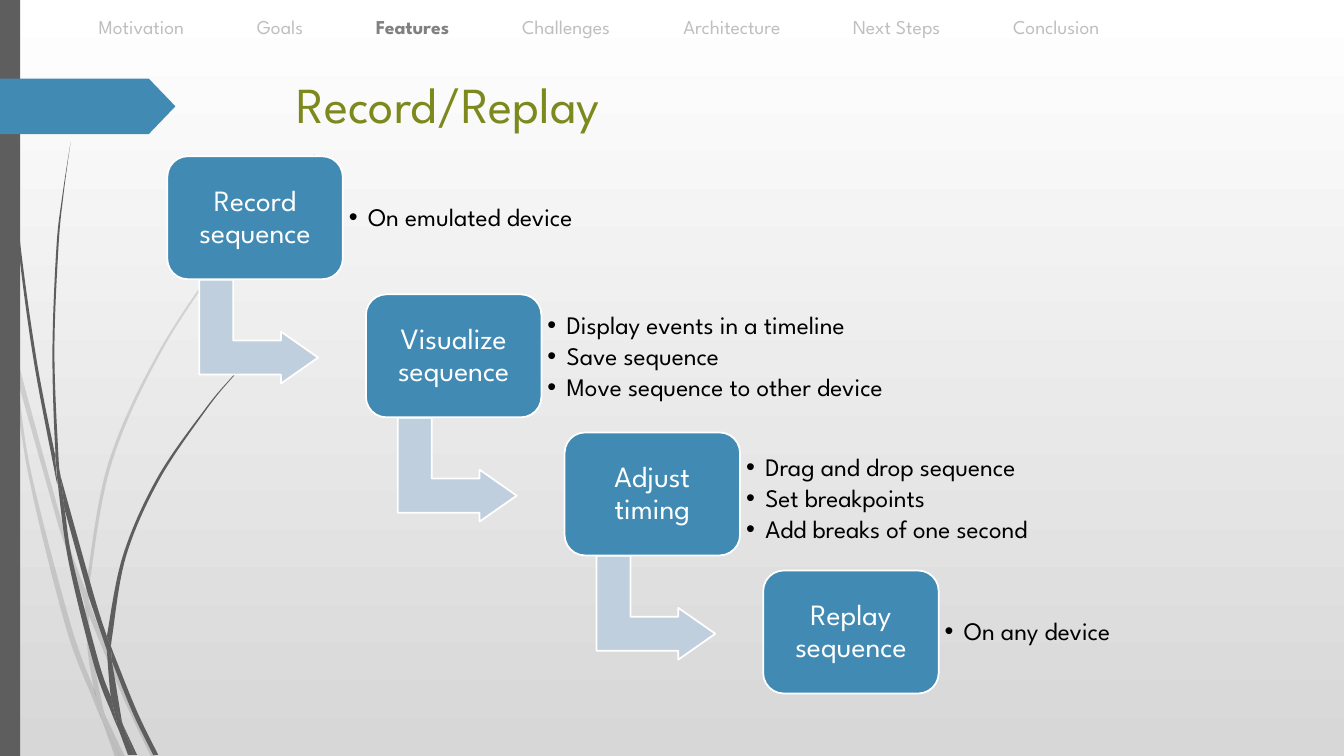
from dataclasses import dataclass

from lxml import etree
from pptx import Presentation
from pptx.dml.color import RGBColor
from pptx.enum import shapes, text
from pptx.oxml.ns import qn
from pptx.util import Inches, Pt

TITLE = "Record/Replay"
SECTIONS = [  # label, distance from the first label
    ("Motivation", 0), ("Goals", 1.57), ("Features", 2.75), ("Challenges", 4.2),
    ("Architecture", 5.8), ("Next Steps", 7.48), ("Conclusion", 9.07),
]
CURRENT_SECTION = "Features"
STEPS = [  # name, details, width of the details and their drop below the step's top
    ("Record sequence", ["On emulated device"], 3.02, 0.12),
    ("Visualize sequence", ["Display events in a timeline", "Save sequence",
                            "Move sequence to other device"], 5.11, 0.13),
    ("Adjust timing", ["Drag and drop sequence", "Set breakpoints",
                       "Add breaks of one second"], 3.69, 0.17),
    ("Replay sequence", ["On any device"], 2.17, 0.12),
]
# Each blade of grass: one edge, then the other edge back to the start
PALE_BLADES = [
    ([(0.11, 3.5), (0.09, 3.22), (0, 2.82)], [(0, 2.99), (0.1, 3.44)]),
    ([(0.58, 5.22), (0.84, 5.99)],
     [(0.85, 5.86), (0.62, 5.2), (0.14, 3.45)], [(0.17, 3.76), (0.58, 5.22)]),
    ([(0.88, 5.96)], [(0.88, 6.1), (1.23, 6.94), (1.5, 7.51)],
     [(1.55, 7.51), (1.27, 6.92), (0.92, 6.07)]),
    ([(1.19, 7.51)], [(1.24, 7.51), (1.05, 7.11)]),
    ([(0.93, 6.83), (0.7, 6.19), (0.31, 4.69), (0.17, 3.76), (0.11, 3.5)],
     [(0.11, 3.5), (0.28, 4.7), (0.65, 6.21), (0.92, 6.93), (1.01, 7.14)],
     [(0.99, 7.07)]),
    ([(0.84, 5.99), (0.87, 6.46), (0.93, 6.83), (0.96, 6.92), (1.05, 7.11)],
     [(1.03, 7.06), (0.91, 6.46), (0.88, 6.1), (0.88, 6.08)]),
    ([(0.88, 5.84), (1.1, 4.62), (1.6, 3.49), (2.29, 2.45), (2.68, 1.98), (2.9, 1.75),
      (3.12, 1.54)],
     [(3.12, 1.53), (2.89, 1.75), (2.68, 1.97), (2.28, 2.44), (1.58, 3.48), (1.07, 4.61),
      (0.85, 5.84)], [(0.85, 5.86), (0.88, 5.96)]),
    ([(1.01, 7.14), (1.14, 7.51)], [(1.19, 7.51)]),
    ([(0.88, 6.08), (0.88, 6.1), (0.88, 5.96)], [(0.85, 5.86), (0.84, 5.99)]),
    ([(0.96, 6.92), (0.93, 6.83), (0.99, 7.07), (1.01, 7.14), (1.19, 7.51)],
     [(1.19, 7.51), (1.05, 7.11)]),
]
DARK_BLADES = [
    ([(0.07, 1.1), (0.17, 2.33), (0.33, 3.55), (0.56, 4.77)], [(0.57, 4.81), (0.55, 4.57)],
     [(0.55, 4.53), (0.36, 3.55), (0.19, 2.32), (0.08, 1.09), (0.05, 0.48), (0.04, 0)],
     [(0.03, 0), (0.04, 0.48), (0.07, 1.1)]),
    ([(0.88, 5.92), (1.06, 6.45)], [(1.06, 6.33)],
     [(1.06, 6.31), (0.93, 5.9), (0.6, 4.72)], [(0.64, 5.05), (0.88, 5.92)]),
    ([(1.13, 6.49), (1.1, 6.41)], [(1.11, 6.56), (1.32, 7.08), (1.52, 7.49)],
     [(1.57, 7.49), (1.36, 7.06), (1.13, 6.49)]),
    ([(1.1, 6.91), (0.98, 6.57), (0.72, 5.56), (0.64, 5.05), (0.57, 4.77)],
     [(0.57, 4.77), (0.68, 5.57), (0.93, 6.59), (1.11, 7.08), (1.17, 7.22)],
     [(1.16, 7.17)]),
    ([(0.6, 4.72), (0.58, 4.53), (0.54, 3.49), (0.58, 2.45), (0.63, 1.93), (0.7, 1.41)],
     [(0.7, 1.41), (0.62, 1.93), (0.56, 2.45), (0.52, 3.49), (0.55, 4.49), (0.6, 4.72)]),
    ([(1.33, 7.49)], [(1.36, 7.49), (1.22, 7.19)]),
    ([(0.57, 4.77), (0.64, 5.05)], [(0.6, 4.72), (0.55, 4.49)], [(0.55, 4.53)]),
    ([(1.11, 6.33), (1.25, 5.52), (1.58, 4.76), (2.05, 4.06), (2.31, 3.74), (2.45, 3.59),
      (2.61, 3.44)],
     [(2.6, 3.44), (2.45, 3.58), (2.31, 3.73), (2.04, 4.05), (1.56, 4.74), (1.22, 5.51),
      (1.06, 6.31)], [(1.1, 6.41)]),
    ([(1.17, 7.22), (1.27, 7.49)], [(1.31, 7.49)]),
    ([(1.06, 6.45), (1.1, 6.91), (1.16, 7.06), (1.22, 7.19)],
     [(1.21, 7.16), (1.11, 6.56), (1.09, 6.51)]),
    ([(1.06, 6.45), (1.09, 6.51), (1.11, 6.56)], [(1.1, 6.41), (1.06, 6.31)], [(1.06, 6.33)]),
    ([(1.16, 7.06), (1.1, 6.91)], [(1.16, 7.17), (1.17, 7.22), (1.3, 7.49)],
     [(1.33, 7.49), (1.22, 7.19)]),
]


@dataclass(frozen=True)
class Theme:
    font: str = "League Spartan"
    bullet_font: str = "Arial"
    title: str = "7D891D"
    step: str = "418AB3"
    arrow: str = "C0CFDD"
    grass: str = "5E5E5E"
    white: str = "FFFFFF"
    black: str = "000000"
    backdrop_end: str = "D7D7D7"
    section: str = "BFBFBF"
    current: str = "808080"
    title_size: int = 36
    step_size: int = 21
    detail_size: int = 18
    section_size: int = 14


THEME = Theme()
STEP_LEFT, STEP_TOP, STEP_WIDTH, STEP_HEIGHT = 1.66, 1.55, 1.74, 1.22
STEP_RIGHTWARD, STEP_DOWNWARD = 1.97, 1.37


def add_run(paragraph, words, size, color, bold=False):
    run = paragraph.add_run()
    run.text = words
    run.font.name, run.font.size, run.font.bold = THEME.font, Pt(size), bold
    run.font.color.rgb = RGBColor.from_string(color)


def paint(shape, fill, line=None):
    shape.shadow.inherit = False
    shape.fill.solid()
    shape.fill.fore_color.rgb = RGBColor.from_string(fill)
    if line:
        shape.line.color.rgb = RGBColor.from_string(line)
        shape.line.width = Pt(1.25)
    else:
        shape.line.fill.background()


def add_preset(slide, preset, box, fill, line=None):
    shape = slide.shapes.add_shape(preset, *map(Inches, box))
    paint(shape, fill, line)
    return shape


def set_frame(frame, inset):
    frame.word_wrap = True
    frame.vertical_anchor = text.MSO_ANCHOR.MIDDLE
    frame.margin_left = frame.margin_right = Inches(inset)
    frame.margin_top = frame.margin_bottom = Inches(inset)


def curve_controls(edge):
    """Yield, for each span of the edge, the three points of its Catmull-Rom cubic."""
    padded = [edge[0], *edge, edge[-1]]
    for before, start, end, after in zip(padded, padded[1:], padded[2:], padded[3:]):
        yield (tuple(s + (e - b) / 6 for b, s, e in zip(before, start, end)),
               tuple(e - (a - s) / 6 for s, e, a in zip(start, end, after)), end)


def add_blade(slide, edges, opacity):
    edges = [[(Inches(x), Inches(y)) for x, y in edge] for edge in edges]
    outline = [point for edge in edges for point in edge]
    builder = slide.shapes.build_freeform(*outline[0])
    builder.add_line_segments(outline[1:], close=True)
    blade = builder.convert_to_shape()
    paint(blade, THEME.grass)
    if opacity < 100:
        color = blade.fill._xPr.find(qn("a:solidFill"))[0]
        etree.SubElement(color, qn("a:alpha"), val=str(opacity * 1000))
    straights = iter(list(blade._element.iter(qn("a:lnTo"))))
    for index, edge in enumerate(edges):
        if index:
            next(straights)
        for controls in curve_controls(edge):
            segment = next(straights)
            cubic = etree.Element(qn("a:cubicBezTo"))
            for x, y in controls:
                etree.SubElement(cubic, qn("a:pt"), x=str(round(x - blade.left)),
                                 y=str(round(y - blade.top)))
            segment.getparent().replace(segment, cubic)


def add_sections(slide):
    box = slide.shapes.add_textbox(*map(Inches, (0.88, 0.1, 11.7, 0.34)))
    box.text_frame.word_wrap = True
    paragraph = box.text_frame.paragraphs[0]
    tabs = etree.SubElement(paragraph._p.get_or_add_pPr(), qn("a:tabLst"))
    for label, distance in SECTIONS:
        if distance:
            etree.SubElement(tabs, qn("a:tab"), pos=str(Inches(distance)), algn="l")
        current = label == CURRENT_SECTION
        add_run(paragraph, "\t" + label if distance else label, THEME.section_size,
                THEME.current if current else THEME.section, current)


def add_details(slide, details, box):
    frame = slide.shapes.add_textbox(*map(Inches, box)).text_frame
    set_frame(frame, 0.07)
    for index, detail in enumerate(details):
        paragraph = frame.add_paragraph() if index else frame.paragraphs[0]
        paragraph.line_spacing, paragraph.space_after = 0.9, Pt(2.7)
        properties = paragraph._p.get_or_add_pPr()
        properties.set("marL", str(Inches(0.19)))
        properties.set("indent", str(-Inches(0.19)))
        etree.SubElement(properties, qn("a:buFont"), typeface=THEME.bullet_font)
        etree.SubElement(properties, qn("a:buChar"), char="•")
        add_run(paragraph, detail, THEME.detail_size, THEME.black)


def add_step(slide, index, name, details, details_width, drop):
    left = STEP_LEFT + index * STEP_RIGHTWARD
    top = STEP_TOP + index * STEP_DOWNWARD
    if index < len(STEPS) - 1:
        arrow = add_preset(slide, shapes.MSO_SHAPE.BENT_UP_ARROW,
                           (left + 0.39, top + 1.15, 1.03, 1.18), THEME.arrow, THEME.white)
        arrow.rotation = 90
        for position, value in enumerate((0.328, 0.25, 0.358)):
            arrow.adjustments[position] = value
    box = add_preset(slide, shapes.MSO_SHAPE.ROUNDED_RECTANGLE,
                     (left, top, STEP_WIDTH, STEP_HEIGHT), THEME.step, THEME.white)
    set_frame(box.text_frame, 0.15)
    paragraph = box.text_frame.paragraphs[0]
    paragraph.alignment, paragraph.line_spacing = text.PP_ALIGN.CENTER, 0.9
    add_run(paragraph, name, THEME.step_size, THEME.white)
    add_details(slide, details, (left + STEP_WIDTH - 0.01, top + drop, details_width, 0.99))


def main():
    presentation = Presentation()
    presentation.slide_width, presentation.slide_height = Inches(13.33), Inches(7.5)
    slide = presentation.slides.add_slide(presentation.slide_layouts[5])
    backdrop = slide.background.fill
    backdrop.gradient()
    backdrop.gradient_angle = 270
    for stop, position, color in zip(backdrop.gradient_stops, (0, 1),
                                     (THEME.white, THEME.backdrop_end)):
        stop.position, stop.color.rgb = position, RGBColor.from_string(color)
    for blades, opacity in ((PALE_BLADES, 20), (DARK_BLADES, 100)):
        for edges in blades:
            add_blade(slide, edges, opacity)
    add_preset(slide, shapes.MSO_SHAPE.RECTANGLE, (0, 0, 0.2, 7.5), THEME.grass)
    tag = add_preset(slide, shapes.MSO_SHAPE.PENTAGON, (0, 0.78, 1.74, 0.55), THEME.step)
    tag.adjustments[0] = 0.48
    title = slide.shapes.title
    title.left, title.top, title.width, title.height = map(Inches, (2.84, 0.68, 9.75, 1.4))
    title.text_frame.vertical_anchor = text.MSO_ANCHOR.TOP
    paragraph = title.text_frame.paragraphs[0]
    paragraph.alignment = text.PP_ALIGN.LEFT
    add_run(paragraph, TITLE, THEME.title_size, THEME.title)
    for index, step in enumerate(STEPS):
        add_step(slide, index, *step)
    add_sections(slide)
    presentation.save("out.pptx")


if __name__ == "__main__":
    main()
